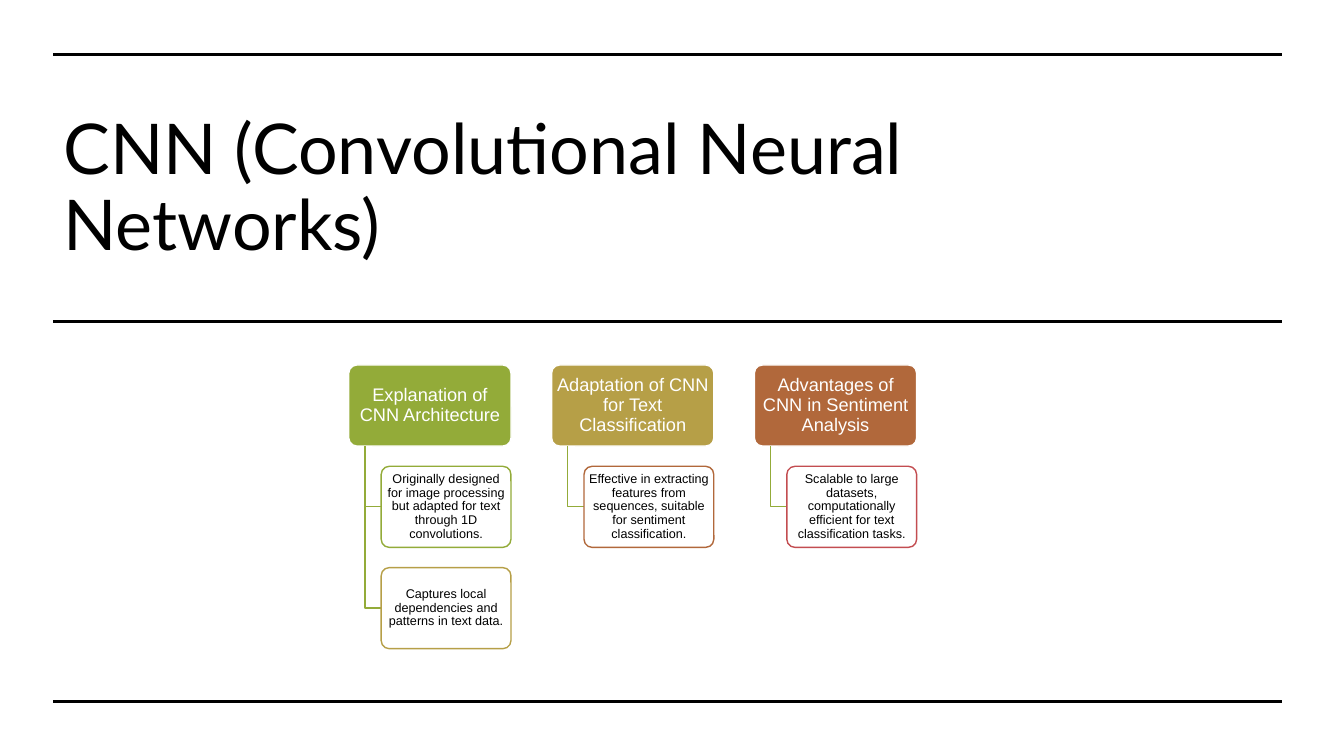
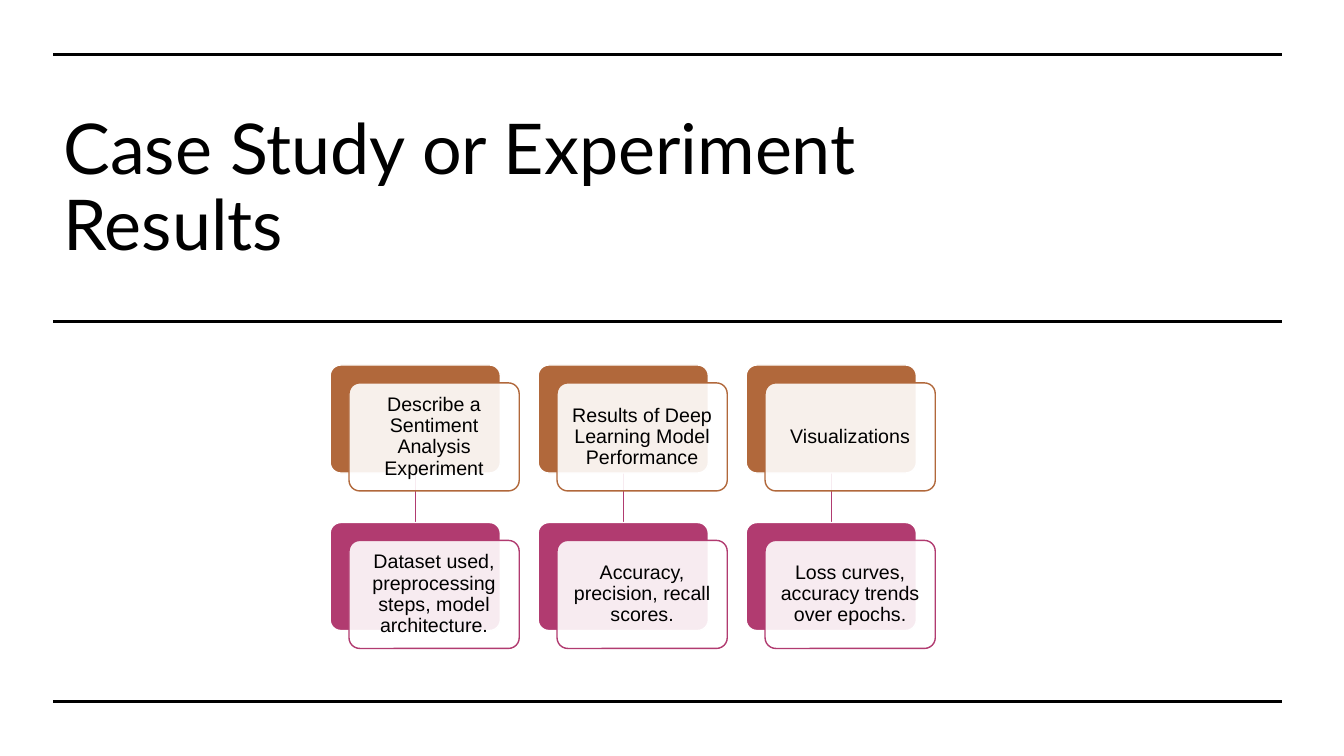
"""Build two slides on CNNs and experiment results."""
from dataclasses import dataclass

from lxml import etree
from pptx import Presentation
from pptx import util as u
from pptx.dml.color import RGBColor
from pptx.enum import shapes, text
from pptx.oxml import ns
from pptx.slide import Slide

HUES = {
    "ink": "000000",
    "white": "FFFFFF",
    "green": "93AB39",
    "gold": "B69F47",
    "rust": "B1683B",
    "red": "C34D51",
    "plum": "B13B70",
}
LEFT, RIGHT = 38.2, 915.8
RULES = (38.9, 229.7, 501.1)
TOP = 260.7


@dataclass(frozen=True)
class Box:
    left: float
    top: float
    width: float
    height: float

    def shift(self, right: float, down: float) -> "Box":
        return Box(self.left + right, self.top + down, self.width, self.height)

    def points(self) -> list[u.Length]:
        return [u.Pt(v) for v in (self.left, self.top, self.width, self.height)]


@dataclass(frozen=True)
class Leaf:
    words: str
    hue: str


@dataclass(frozen=True)
class Branch:
    head: Leaf
    leaves: tuple[Leaf, ...]


TREE = (
    Branch(Leaf("Explanation of CNN Architecture", "green"), (
        Leaf("Originally designed for image processing but adapted for text "
             "through 1D convolutions.", "green"),
        Leaf("Captures local dependencies and patterns in text data.", "gold"),
    )),
    Branch(Leaf("Adaptation of CNN for Text Classification", "gold"), (
        Leaf("Effective in extracting features from sequences, suitable for "
             "sentiment classification.", "rust"),
    )),
    Branch(Leaf("Advantages of CNN in Sentiment Analysis", "rust"), (
        Leaf("Scalable to large datasets, computationally efficient for text "
             "classification tasks.", "red"),
    )),
)
PAIRS = (
    ("Describe a Sentiment Analysis Experiment",
     "Dataset used, preprocessing steps, model architecture."),
    ("Results of Deep Learning Model Performance",
     "Accuracy, precision, recall scores."),
    ("Visualizations", "Loss curves, accuracy trends over epochs."),
)


def tint(name: str) -> RGBColor:
    return RGBColor.from_string(HUES[name])


def write(shape, words: str, *, size: float, font: str = "Arial", hue: str = "ink",
          align=text.PP_ALIGN.CENTER, inset: tuple[float, float] = (7.2, 3.6)) -> None:
    frame = shape.text_frame
    frame.word_wrap = True
    frame.vertical_anchor = text.MSO_ANCHOR.MIDDLE
    frame.margin_left = frame.margin_right = u.Pt(inset[0])
    frame.margin_top = frame.margin_bottom = u.Pt(inset[1])
    para = frame.paragraphs[0]
    para.alignment = align
    para.line_spacing = 0.9
    run = para.add_run()
    run.text = words
    run.font.name = font
    run.font.size = u.Pt(size)
    run.font.color.rgb = tint(hue)


def card(slide: Slide, box: Box, fill: str, edge: str, clear: bool = False):
    shape = slide.shapes.add_shape(shapes.MSO_SHAPE.ROUNDED_RECTANGLE, *box.points())
    shape.adjustments[0] = 0.1
    shape.shadow.inherit = False
    shape.fill.solid()
    shape.fill.fore_color.rgb = tint(fill)
    if clear:
        shade = shape.fill._xPr.find(".//" + ns.qn("a:srgbClr"))
        etree.SubElement(shade, ns.qn("a:alpha"), val="90000")
    shape.line.color.rgb = tint(edge)
    shape.line.width = u.Pt(1)
    return shape


def line(slide: Slide, start: tuple[float, float], end: tuple[float, float],
         hue: str, width: float) -> None:
    ends = [u.Pt(v) for v in (*start, *end)]
    link = slide.shapes.add_connector(shapes.MSO_CONNECTOR.STRAIGHT, *ends)
    link.line.color.rgb = tint(hue)
    link.line.width = u.Pt(width)
    etree.SubElement(link._element.spPr, ns.qn("a:effectLst"))


def elbow(slide: Slide, left: float, top: float, right: float, low: float) -> None:
    pen = slide.shapes.build_freeform(u.Pt(left), u.Pt(top))
    pen.add_line_segments([(u.Pt(left), u.Pt(low)), (u.Pt(right), u.Pt(low))],
                          close=False)
    shape = pen.convert_to_shape()
    shape.shadow.inherit = False
    shape.fill.background()
    shape.line.color.rgb = tint("green")
    shape.line.width = u.Pt(1)


def start(deck, title: str) -> Slide:
    slide = deck.slides.add_slide(deck.slide_layouts[6])
    box = Box(LEFT, 77, 662.4, 117.4)
    write(slide.shapes.add_textbox(*box.points()), title, size=50, font="Lato",
          align=text.PP_ALIGN.LEFT)
    for level in RULES:
        line(slide, (LEFT, level), (RIGHT, level), "ink", 2.25)
    return slide


def draw_tree(slide: Slide) -> None:
    first = Box(249.1, TOP, 115.9, 57.9)
    for col, branch in enumerate(TREE):
        box = first.shift(col * first.width * 1.25, 0)
        head = card(slide, box, branch.head.hue, "white")
        write(head, branch.head.words, size=13, hue="white", inset=(1.95, 1.3))
        stem = box.left + box.width * 0.1
        for row, leaf in enumerate(branch.leaves, 1):
            spot = Box(box.left + box.width * 0.2, box.top + row * box.height * 1.25,
                       box.width * 0.8, box.height)
            elbow(slide, stem, box.top + box.height, spot.left,
                  spot.top + spot.height / 2)
            shape = card(slide, spot, "white", leaf.hue, clear=True)
            write(shape, leaf.words, size=9, inset=(1.35, 0.9))


def draw_pairs(slide: Slide) -> None:
    first, across, down = Box(235.8, TOP, 121.6, 77.2), 148.6, 112.5
    for col in range(len(PAIRS)):
        mid = first.left + col * across + first.width / 2
        line(slide, (mid, TOP + first.height), (mid, TOP + down), "plum", 1)
    for col, pair in enumerate(PAIRS):
        for row, (words, hue) in enumerate(zip(pair, ("rust", "plum"))):
            back = first.shift(col * across, row * down)
            card(slide, back, hue, "white")
            front = card(slide, back.shift(13.5, 12.8), "white", hue, clear=True)
            write(front, words, size=14, inset=(4.2, 4.2))


def main() -> None:
    deck = Presentation()
    deck.slide_width, deck.slide_height = u.Pt(960), u.Pt(540)
    draw_tree(start(deck, "CNN (Convolutional Neural Networks)"))
    draw_pairs(start(deck, "Case Study or Experiment Results"))
    deck.save("out.pptx")


if __name__ == "__main__":
    main()
